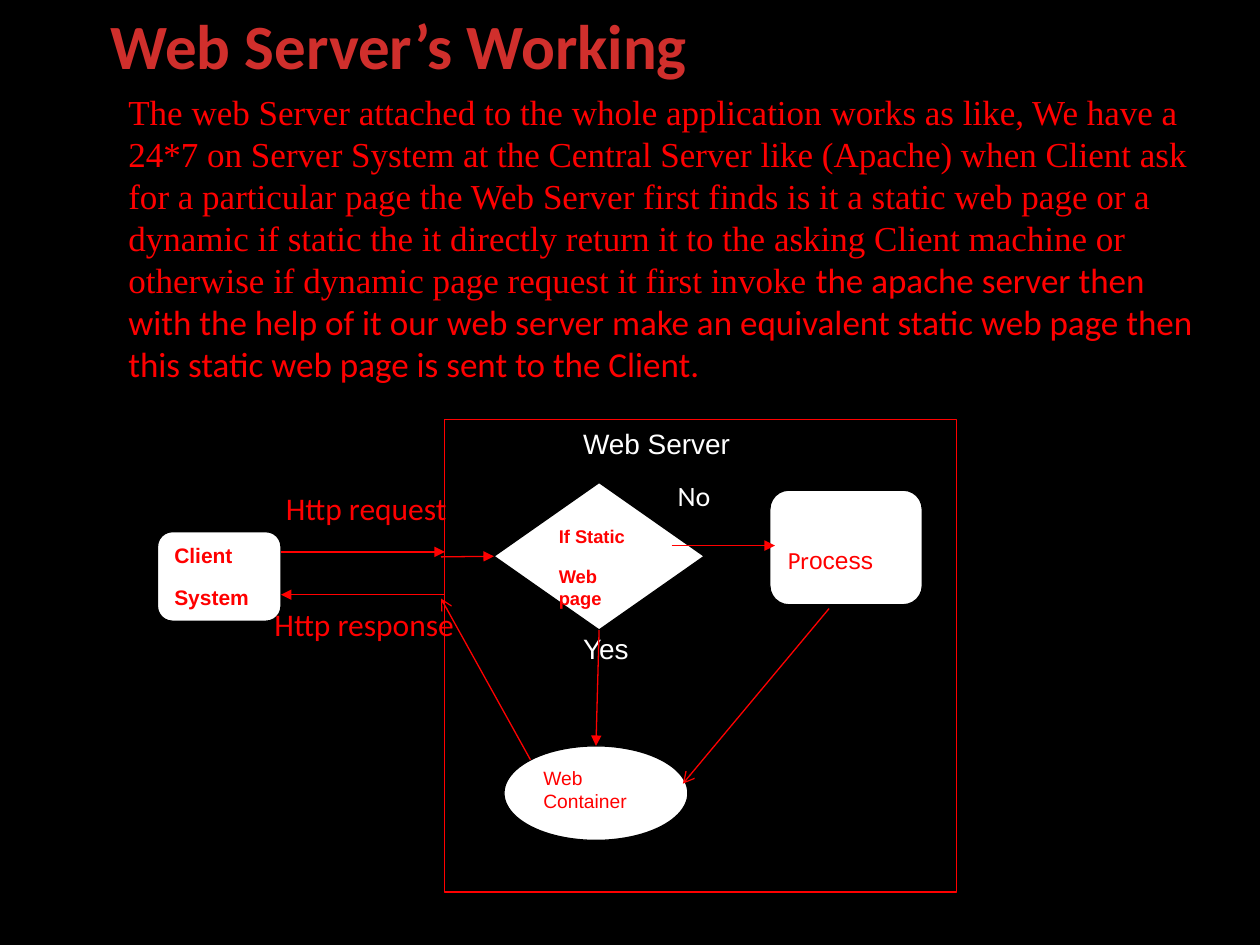
from pptx import Presentation
from pptx.dml.color import RGBColor
from pptx.enum.shapes import MSO_CONNECTOR as LINE, MSO_SHAPE as SHAPE
from pptx.enum.text import MSO_ANCHOR, PP_ALIGN
from pptx.oxml.ns import qn
from pptx.util import Inches, Pt
from lxml.etree import SubElement

COLORS = {"black": "000000", "white": "FFFFFF", "red": "FF0000", "title": "D02F2C"}


def write(box, paragraphs, size=12, font="Arial", color="red", bold=False,
          align=PP_ALIGN.LEFT, after=0, line=None, wrap=True, top=0.05):
    """Each paragraph is a list of (text, font) runs, or one plain string."""
    frame = box.text_frame
    frame.word_wrap = wrap
    frame.vertical_anchor = MSO_ANCHOR.TOP
    frame.margin_top = Inches(top)
    for i, content in enumerate(paragraphs):
        p = frame.paragraphs[0] if i == 0 else frame.add_paragraph()
        p.alignment = align
        p.space_after = Pt(after)
        if line:
            p.line_spacing = Pt(line)
        for text, face in [(content, font)] if isinstance(content, str) else content:
            run = p.add_run()
            run.text = text
            run.font.name = face
            run.font.size = Pt(size)
            run.font.bold = bold
            run.font.color.rgb = RGBColor.from_string(COLORS[color])


def add_node(kind, place, fill="white", border="black"):
    node = slide.shapes.add_shape(kind, *map(Inches, place))
    node.shadow.inherit = False
    node.fill.solid()
    node.fill.fore_color.rgb = RGBColor.from_string(COLORS[fill])
    node.line.color.rgb = RGBColor.from_string(COLORS[border])
    node.line.width = Pt(0.75)
    return node


prs = Presentation()
prs.slide_width, prs.slide_height = Inches(10), Inches(7.5)
slide = prs.slides.add_slide(prs.slide_layouts[6])
slide.background.fill.solid()
slide.background.fill.fore_color.rgb = RGBColor.from_string(COLORS["black"])

# Web server frame and its labels
add_node(SHAPE.RECTANGLE, (3.53, 3.33, 4.06, 3.75), fill="black", border="red")
for text, left, top, font in [
    ("Web Server", 4.53, 3.34, "Arial"),
    ("No", 5.28, 3.75, "Calibri"),
    ("Yes", 4.53, 4.96, "Arial"),
]:
    label = slide.shapes.add_textbox(Inches(left), Inches(top), Inches(1.5), Inches(0.37))
    write(label, [text], size=16, font=font, color="white")

# Nodes
client = add_node(SHAPE.ROUNDED_RECTANGLE, (1.25, 4.22, 0.98, 0.71))
write(client, ["Client", "System"], bold=True, after=10)
decision = add_node(SHAPE.DIAMOND, (3.92, 3.83, 1.67, 1.17))
write(decision, ["If Static", "Web page"], size=10.5, bold=True, after=10)
container = add_node(SHAPE.OVAL, (4, 5.92, 1.46, 0.75))
write(container, ["Web Container"], size=11, after=10)
process = add_node(SHAPE.ROUNDED_RECTANGLE, (6.11, 3.89, 1.21, 0.91))
write(process, [[("Pr", "Calibri"), ("ocess", "Arial")]], size=14, after=10, top=0.39)

# Arrows: start, end, head, joined start, joined end
for start, end, head, source, target in [
    ((2.23, 4.38), (3.53, 4.38), "triangle", None, None),
    ((3.53, 4.72), (2.23, 4.72), "triangle", None, None),
    ((5.33, 4.33), (6.15, 4.33), "triangle", None, None),
    ((3.5, 4.42), (3.92, 4.42), "triangle", None, (decision, 1)),
    ((4.75, 5), (4.73, 5.92), "triangle", (decision, 2), (container, 0)),
    ((4.21, 6.03), (3.5, 4.75), "arrow", None, None),
    ((6.58, 4.83), (5.42, 6.22), "arrow", None, None),
]:
    arrow = slide.shapes.add_connector(LINE.STRAIGHT, *map(Inches, start + end))
    if source:
        arrow.begin_connect(*source)
    if target:
        arrow.end_connect(*target)
    arrow.line.color.rgb = RGBColor.from_string(COLORS["red"])
    arrow.line.width = Pt(0.75)
    SubElement(arrow.line._get_or_add_ln(), qn("a:tailEnd"), type=head)
    SubElement(arrow._element.spPr, qn("a:effectLst"))

# Request and response labels
for text, left, top in [("Http request", 2.17, 3.83), ("Http response", 2.08, 4.75)]:
    label = slide.shapes.add_textbox(Inches(left), Inches(top), Inches(1.67), Inches(0.4))
    write(label, [text], size=18, font="Calibri")

# Title and explanation
title = slide.shapes.add_textbox(Inches(0.75), Inches(0), Inches(4.83), Inches(0.71))
write(title, ["Web Server’s Working"], size=36, font="Calibri", color="title",
      bold=True, align=PP_ALIGN.CENTER, wrap=False)
explanation = slide.shapes.add_textbox(Inches(0.92), Inches(0.67), Inches(8.75), Inches(3.13))
write(explanation, [[
    ("The web Server attached to the whole application works as like, We have a 24*7 on "
     "Server System at the Central Server like (Apache) when Client ask for a particular "
     "page the Web Server first finds is it a static web page or a dynamic if static the "
     "it directly return it to the asking Client machine or otherwise if dynamic page "
     "request it first invoke ", "Times New Roman"),
    ("the apache server then with the help of it our web server make an equivalent static "
     "web page then this static web page is sent to the Client.", "Calibri"),
]], size=20, line=24)

prs.save("out.pptx")
